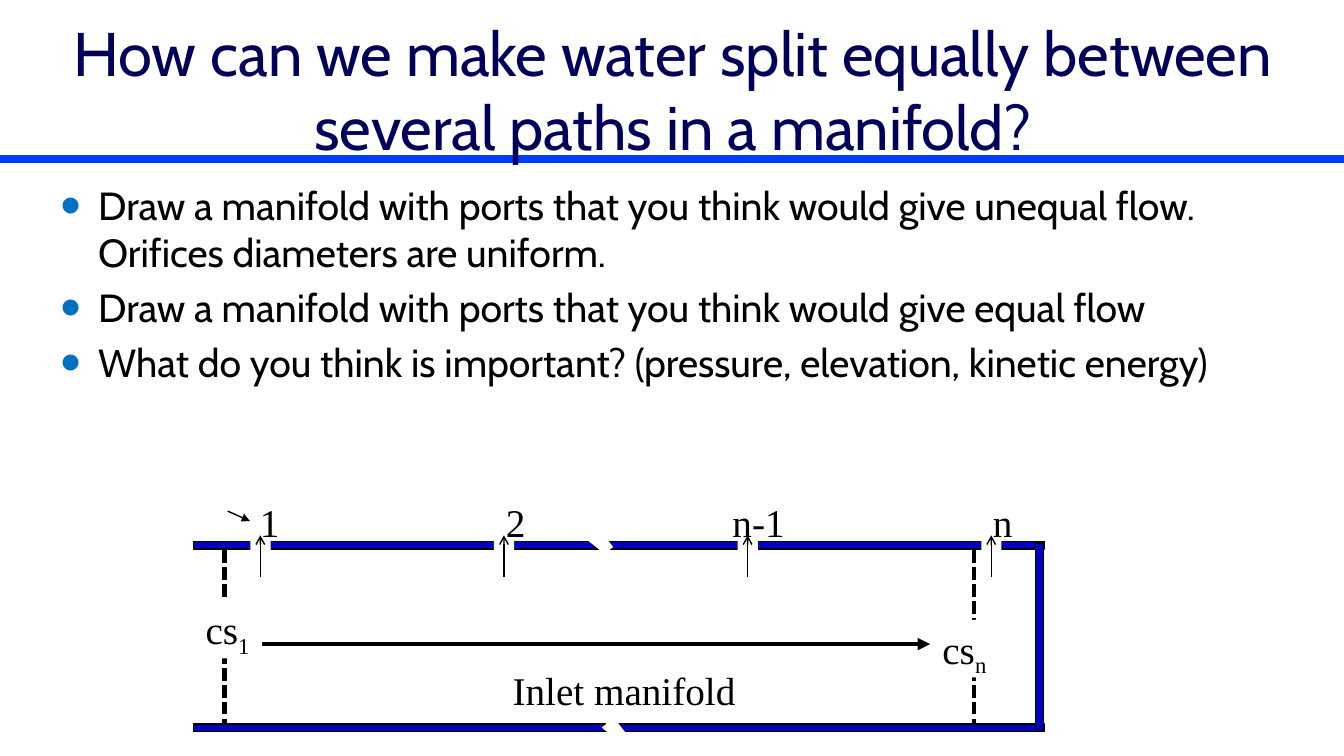
from pptx import Presentation
from pptx.dml.color import RGBColor
from pptx.enum.dml import MSO_LINE as Dash
from pptx.enum.shapes import MSO_CONNECTOR as Link, MSO_SHAPE as Kind
from pptx.enum.text import MSO_ANCHOR as Anchor, MSO_AUTO_SIZE as Fit, PP_ALIGN as Align
from pptx.oxml.ns import qn
from pptx.util import Cm, Pt
from lxml.etree import SubElement as Sub

rgb = RGBColor.from_string
BLACK, WHITE, WALL = "000000", "FFFFFF", "0300BE"

deck = Presentation()
deck.slide_width, deck.slide_height = Cm(33.87), Cm(19.05)
slide = deck.slides.add_slide(deck.slide_layouts[1])
shapes = slide.shapes


def block(kind, x, y, w, h, fill, edge=None):
    shape = shapes.add_shape(kind, Cm(x), Cm(y), Cm(w), Cm(h))
    shape.shadow.inherit = False
    shape.fill.solid()
    shape.fill.fore_color.rgb = rgb(fill)
    if edge:
        shape.line.color.rgb = rgb(edge)
        shape.line.width = Pt(1)
    else:
        shape.line.fill.background()


def stroke(x1, y1, x2, y2, width=1, color=BLACK, head=None, dash=None):
    """Draw a straight line, with an arrowhead of type head at its end."""
    link = shapes.add_connector(Link.STRAIGHT, Cm(x1), Cm(y1), Cm(x2), Cm(y2))
    link.line.width = Pt(width)
    link.line.color.rgb = rgb(color)
    if dash:
        link.line.dash_style = dash
    if head:
        Sub(link.line._get_or_add_ln(), qn("a:tailEnd"), type=head)
    Sub(link._element.spPr, qn("a:effectLst"))
    return link


# Title and list, above the header rule
rule = stroke(0, 4.01, 33.87, 4.01, 6, "003CFE")._element
rule.getparent().insert(2, rule)

title, body = shapes.title, slide.placeholders[1]
title.text_frame.text = "How can we make water split equally between several paths in a manifold?"
body.text_frame.text = "\n".join([
    "Draw a manifold with ports that you think would give unequal flow. Orifices diameters are uniform.",
    "Draw a manifold with ports that you think would give equal flow",
    "What do you think is important? (pressure, elevation, kinetic energy)",
])
for item, top, high, anchor, align, color, size in [
    (title, 0.64, 3.18, Anchor.MIDDLE, Align.CENTER, "00005A", 44),
    (body, 4.45, 6.35, Anchor.TOP, Align.LEFT, BLACK, 28),
]:
    item.left, item.top, item.width, item.height = Cm(1.27), Cm(top), Cm(31.39), Cm(high)
    frame = item.text_frame
    frame.auto_size, frame.vertical_anchor = Fit.NONE, anchor
    for para in frame.paragraphs:
        para.alignment = align
        font = para.runs[0].font
        for key, value in {"name": "Cabin", "size": Pt(size)}.items():
            setattr(font, key, value)
        font.color.rgb = rgb(color)

for index, para in enumerate(body.text_frame.paragraphs):
    para.space_before = Pt(5.6 if index else 0)
    props = para._p.get_or_add_pPr()
    props.set("marL", str(Cm(0.95)))
    props.set("indent", str(-Cm(0.95)))
    Sub(Sub(props, qn("a:buClr")), qn("a:srgbClr"), val="0070C0")
    Sub(props, qn("a:buSzPct"), val="150000")
    Sub(props, qn("a:buFont"), typeface="Arial")
    Sub(props, qn("a:buChar"), char="•")

# Manifold walls
for top in (13.64, 18.24):
    block(Kind.RECTANGLE, 4.88, top, 21.44, 0.2, WALL, BLACK)
block(Kind.RECTANGLE, 26.1, 13.68, 0.2, 4.7, WALL, BLACK)

# Ports: evenly spaced gaps with outflow arrows
for port in range(4):
    x = 6.56 + 6.14 * port
    block(Kind.RECTANGLE, x - 0.25, 12.98, 0.51, 1.45, WHITE)
    stroke(x, 14.53, x, 13.49, head="arrow")

# Breaks in the walls
for x, y in [(14.61, 12.98), (14.94, 17.68)]:
    block(Kind.LIGHTNING_BOLT, x, y, 1.07, 1.45, WHITE, WHITE)

# Control surfaces and flow
stroke(5.74, 12.88, 6.3, 13.13, head="triangle")
for x in (5.66, 24.54):
    stroke(x, 13.87, x, 18.24, 3, dash=Dash.SQUARE_DOT)
stroke(6.53, 16.23, 23.44, 16.23, 3, head="triangle")

# Labels: left, top, width, text, subscript
for x, y, w, text, low in [
    (6.3, 12.42, 1.02, "1", ""),
    (12.5, 12.42, 1.02, "2", ""),
    (18.21, 12.42, 1.83, "n-1", ""),
    (24.77, 12.42, 1.02, "n", ""),
    (4.93, 15.14, 1.68, "cs", "1"),
    (23.5, 15.62, 1.68, "cs", "n"),
    (12.67, 16.66, 6.2, "Inlet manifold", ""),
]:
    label = shapes.add_textbox(Cm(x), Cm(y), Cm(w), Cm(1.45))
    label.text_frame.word_wrap = False
    para = label.text_frame.paragraphs[0]
    para.add_run().text = text
    if low:
        label.fill.solid()
        label.fill.fore_color.rgb = rgb(WHITE)
        sub = para.add_run()
        sub.text = low
        sub._r.get_or_add_rPr().set("baseline", "-25000")
    for run in para.runs:
        for key, value in {"name": "Times New Roman", "size": Pt(28)}.items():
            setattr(run.font, key, value)
        run.font.color.rgb = rgb(BLACK)

deck.save("out.pptx")
